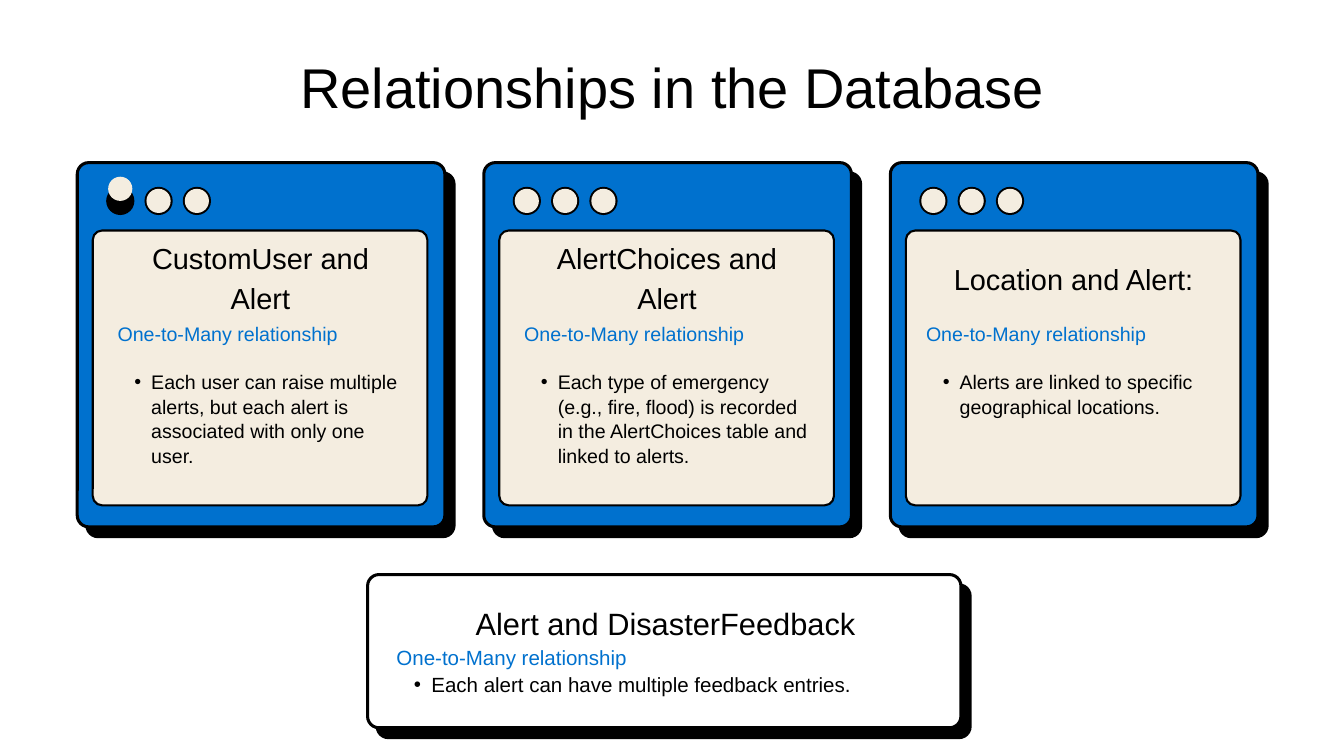
from dataclasses import dataclass

from lxml import etree
from pptx import Presentation
from pptx.dml.color import RGBColor
from pptx.enum import shapes, text
from pptx.oxml.ns import qn
from pptx.util import Inches, Pt


@dataclass
class Theme:
    font: str = "Arial"
    ink: str = "000000"
    blue: str = "0071CE"
    cream: str = "F4EDE0"
    white: str = "FFFFFF"
    title: tuple = (60, 63)  # type size, line pitch
    head: tuple = (31, 43.4)
    list: tuple = (21, 26.2)
    wide_head: tuple = (33, 42.9)
    wide_list: tuple = (22, 28.6)


look = Theme()
deck = Presentation()
deck.slide_width, deck.slide_height = Inches(20), Inches(11.25)
col, row = deck.slide_width / 20, deck.slide_height / 11.25
page = deck.slides.add_slide(deck.slide_layouts.get_by_name("Comparison"))
tree = page.shapes
title, *lists = list(page.placeholders)


def draw(kind, x, y, w, h, fill, line=0, round=0):
    item = tree.add_shape(kind, int(x * col), int(y * row), int(w * col), int(h * row))
    item.shadow.inherit = False
    item.fill.solid()
    item.fill.fore_color.rgb = RGBColor.from_string(fill)
    if line:
        item.line.color.rgb = RGBColor.from_string(look.ink)
        item.line.width = Pt(line)
    else:
        item.line.fill.background()
    if round:
        item.adjustments[0] = round / min(w, h)


def write(box, x, y, w, h, style, *parts, center=False):
    """Place a text box; each part is (words, colour, bullet indent, gap above)."""
    box.left, box.top, box.width, box.height = int(x * col), int(y * row), int(w * col), int(h * row)
    tree._spTree.append(box._element)  # bring to front
    frame = box.text_frame
    frame.word_wrap = True
    frame.auto_size = text.MSO_AUTO_SIZE.NONE
    frame.vertical_anchor = text.MSO_ANCHOR.TOP
    frame.margin_left = frame.margin_top = frame.margin_right = frame.margin_bottom = 0
    size, pitch = style
    for n, (words, tint, dent, gap) in enumerate(parts):
        para = frame.add_paragraph() if n else frame.paragraphs[0]
        para.alignment = text.PP_ALIGN.CENTER if center else text.PP_ALIGN.LEFT
        para.line_spacing, para.space_before, para.space_after = Pt(pitch), Pt(gap), Pt(0)
        props = para._p.get_or_add_pPr()
        props.set("marL", str(int(dent * col)))
        props.set("indent", str(int(-dent / 2 * col)))
        if dent:
            etree.SubElement(props, qn("a:buFont")).set("typeface", look.font)
            etree.SubElement(props, qn("a:buChar")).set("char", "•")
        else:
            etree.SubElement(props, qn("a:buNone"))
        run = para.add_run()
        run.text = words
        run.font.name, run.font.size, run.font.bold = look.font, Pt(size), False
        run.font.color.rgb = RGBColor.from_string(tint)


kinds = shapes.MSO_SHAPE
link = "One-to-Many relationship"
left, top, step = 1.13, 2.4, 6.05
cards = [
    ("CustomUser and Alert", "Each user can raise multiple alerts, but each alert is "
     "associated with only one user.", 3.49, 1.26, 0.62, 2.21),
    ("AlertChoices and Alert", "Each type of emergency (e.g., fire, flood) is recorded in the "
     "AlertChoices table and linked to alerts.", 3.49, 1.26, 0.62, 2.21),
    ("Location and Alert:", "Alerts are linked to specific geographical locations.",
     3.81, 0.62, 0.55, 1.49),
]

# Frames with hard shadows: three windows and one wide box
frames = [(left + n * step, top, 5.51, 5.46, look.blue) for n in range(3)]
frames.append((5.45, 8.53, 8.87, 2.32, look.white))
for x, y, w, h, fill in frames:
    draw(kinds.ROUNDED_RECTANGLE, x + 0.14, y + 0.15, w, h, look.ink, round=0.19)
    draw(kinds.ROUNDED_RECTANGLE, x + 0.02, y + 0.02, w - 0.04, h - 0.04, fill, 3.25, 0.17)

# Window contents
for n, (head, note, y, h, inset, deep) in enumerate(cards):
    x = left + n * step
    draw(kinds.ROUNDED_RECTANGLE, x + 0.25, top + 1.03, 4.98, 4.09, look.cream, 2.25, 0.14)
    for k in range(3):
        dot = x + 0.45 + k * 0.57
        lift = 0.18 if n == k == 0 else 0  # the first button sits raised
        draw(kinds.OVAL, dot, top + 0.38, 0.42, 0.42, look.ink)
        draw(kinds.OVAL, dot + 0.03, top + 0.41 - lift, 0.36, 0.36, look.cream)
    write(tree.add_textbox(0, 0, 0, 0), x + 0.7, y, 4.09, h, look.head,
          (head, look.ink, 0, 0), center=True)
    write(lists[n], x + inset, 4.77, 4.24, deep, look.list,
          (link, look.blue, 0, 0), (note, look.ink, 0.5, look.list[1]))

# Wide box text
write(tree.add_textbox(0, 0, 0, 0), 5.9, 8.95, 8.01, 0.62, look.wide_head,
      ("Alert and DisasterFeedback", look.ink, 0, 0), center=True)
write(lists[3], 5.9, 9.57, 8.01, 0.82, look.wide_list, (link, look.blue, 0, 0),
      ("Each alert can have multiple feedback entries.", look.ink, 0.52, 0))

# Slide title
write(title, left, 0.9, 17.75, 1, look.title,
      ("Relationships in the Database", look.ink, 0, 0), center=True)

deck.save("out.pptx")
